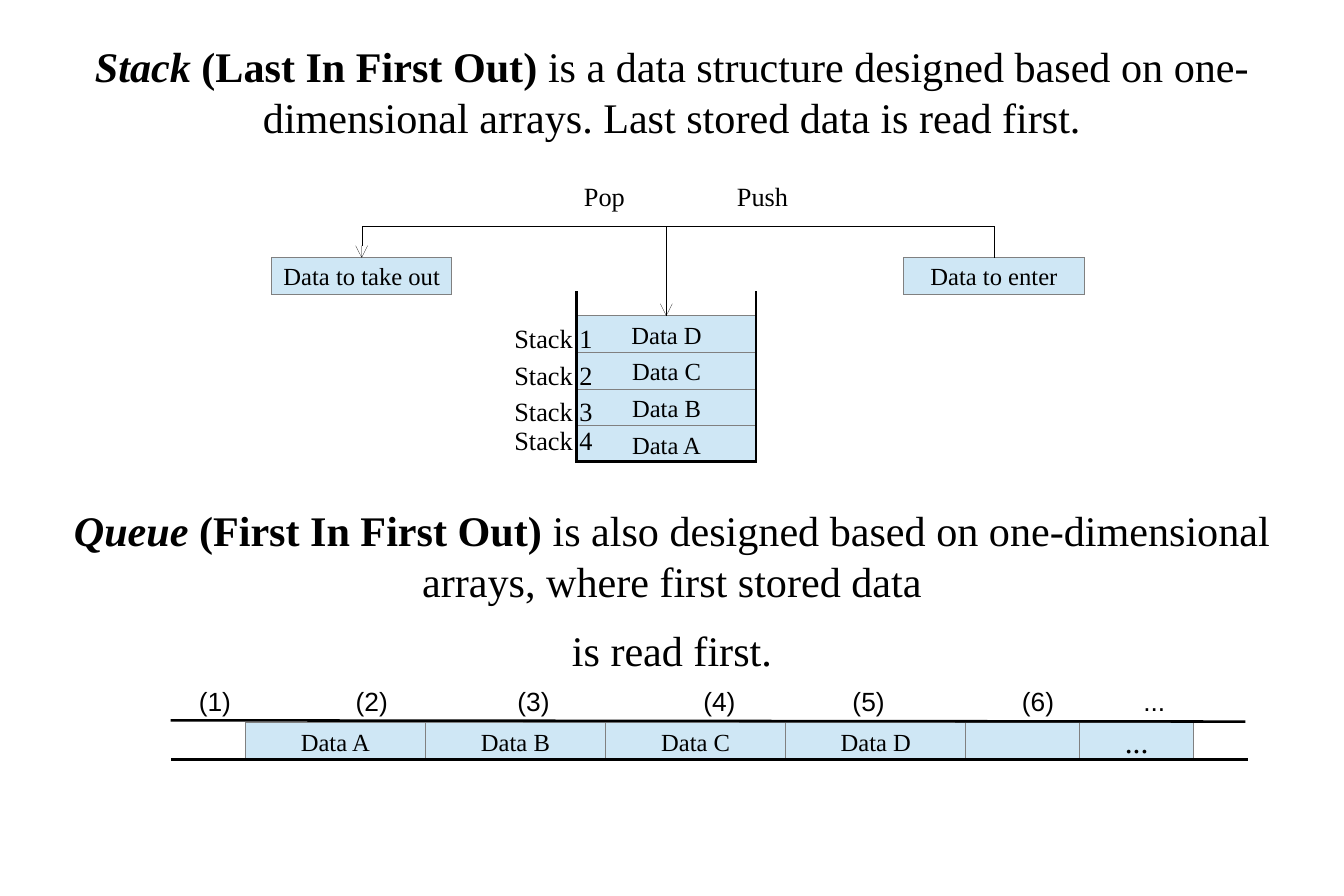
"""Build a slide that explains the stack and queue data structures."""
import pptx
import pptx.dml.color
import pptx.enum.shapes
import pptx.enum.text
import pptx.oxml
import pptx.oxml.ns
import pptx.util
from pptx.util import Inches, Pt

SERIF, SANS = "Times New Roman", "Arial"
BLACK, GREY, BLUE = "000000", "808080", "CFE7F5"
BOX_W, BOX_H = 1.425, 0.29
ALIGN = pptx.enum.text.PP_ALIGN
ANCHOR = pptx.enum.text.MSO_ANCHOR
CONNECTOR = pptx.enum.shapes.MSO_CONNECTOR


def color(value):
    """Return the colour for a hex string."""
    return pptx.dml.color.RGBColor.from_string(value)


def child(parent, tag, **attributes):
    """Append a DrawingML element to a parent."""
    element = pptx.oxml.parse_xml(f"<a:{tag} {pptx.oxml.ns.nsdecls('a')}/>")
    for name, value in attributes.items():
        element.set(name, value)
    parent.append(element)


def style_line(sp, value, width=0):
    """Set the line colour and width, where zero is a hairline."""
    sp.line.color.rgb = color(value)
    sp.line._get_or_add_ln().set("w", str(int(Pt(width))))


def write(p, text, size=14, font=SERIF, bold=False, italic=False):
    """Add a formatted run to a paragraph."""
    r = p.add_run()
    r.text = text
    r.font.size, r.font.name = Pt(size), font
    r.font.bold, r.font.italic = bold, italic
    r.font.color.rgb = color(BLACK)


def add_label(s, text, x, y, w, h=0.35, align=ALIGN.LEFT, **fmt):
    """Add a one-line label."""
    tf = s.shapes.add_textbox(Inches(x), Inches(y), Inches(w), Inches(h)).text_frame
    tf.word_wrap = True
    tf.paragraphs[0].alignment = align
    write(tf.paragraphs[0], text, size=15, **fmt)


def add_definition(s, y, h, term, meaning, *paragraphs):
    """Add a centred definition that opens with a bold term."""
    tf = s.shapes.add_textbox(Inches(0.53), Inches(y), Inches(9.57), Inches(h)).text_frame
    tf.word_wrap = True
    tf.margin_left = tf.margin_right = tf.margin_top = tf.margin_bottom = 0
    for i, text in enumerate(paragraphs):
        p = tf.add_paragraph() if i else tf.paragraphs[0]
        p.alignment = ALIGN.CENTER
        p.line_spacing, p.space_after = Pt(29), Pt(10.4)
        if i == 0:
            write(p, term, size=24, bold=True, italic=True)
            write(p, f" {meaning} ", size=24, bold=True)
        write(p, text, size=24)


def add_box(s, text, x, y, w=BOX_W, size=14):
    """Add a blue data box."""
    sp = s.shapes.add_shape(pptx.enum.shapes.MSO_SHAPE.RECTANGLE,
                            Inches(x), Inches(y), Inches(w), Inches(BOX_H))
    sp.fill.solid()
    sp.fill.fore_color.rgb = color(BLUE)
    style_line(sp, GREY)
    sp.shadow.inherit = False
    if text:
        tf = sp.text_frame
        tf.word_wrap = False
        tf.vertical_anchor = ANCHOR.MIDDLE
        tf.paragraphs[0].alignment = ALIGN.CENTER
        write(tf.paragraphs[0], text, size=size)


def add_line(s, x1, y1, x2, y2, width=1.45, kind=CONNECTOR.STRAIGHT):
    """Add a black connector."""
    line = s.shapes.add_connector(kind, Inches(x1), Inches(y1), Inches(x2), Inches(y2))
    style_line(line, BLACK, width)
    child(line._element.spPr, "effectLst")
    return line


def add_elbow_arrow(s, x1, y1, x2, y2, bend_y):
    """Add an arrow going leftward that runs level at bend_y."""
    w, h = abs(y2 - y1), x1 - x2
    left, top = (x1 + x2 - w) / 2, (y1 + y2 - h) / 2
    down = y2 > y1
    start, end = (top, top + h) if down else (top + h, top)
    line = add_line(s, left, start, left + w, end, 0, CONNECTOR.ELBOW)
    spPr = line._element.spPr
    spPr.find(pptx.oxml.ns.qn("a:xfrm")).set("rot", str((90 if down else 270) * 60000))
    bend = round((bend_y - y1) / (y2 - y1) * 100000)
    guides = spPr.find(pptx.oxml.ns.qn("a:prstGeom")).get_or_add_avLst()
    child(guides, "gd", name="adj1", fmla=f"val {bend}")
    child(line.line._get_or_add_ln(), "tailEnd", type="arrow")


def add_stack(s):
    """Draw the stack with its pop and push arrows."""
    left, right, top = 4.56, 5.98, 2.5
    middle = (left + right) / 2
    for i, name in enumerate("DCBA"):
        add_box(s, f"Data {name}", left, top + i * BOX_H)
    for x in (left, right):
        add_line(s, x, 3.66, x, 2.3)
    add_line(s, left, 3.65, right, 3.65)
    add_box(s, "Data to enter", 7.15, 2.04)
    add_box(s, "Data to take out", 2.15, 2.04)
    add_elbow_arrow(s, middle, top, 2.86, 2.04, 1.79)
    add_elbow_arrow(s, 7.86, 2.04, middle, top, 1.79)
    add_label(s, "Pop", 4.52, 1.38, 0.7)
    add_label(s, "Push", 5.73, 1.38, 0.8)
    for i, y in enumerate((2.5, 2.79, 3.08, 3.31), 1):
        add_label(s, f"Stack {i}", 3.97, y, 1)


def add_queue(s):
    """Draw the queue with its numbered places."""
    left, top = 1.94, 5.72
    for i, name in enumerate("ABCD"):
        add_box(s, f"Data {name}", left + i * BOX_W, top)
    for i, text in enumerate(("", "...")):
        add_box(s, text, 7.64 + i * 0.9, top, 0.9, size=18)
    add_line(s, 9.87, 6.01, 1.35, 6.01)
    add_line(s, 9.85, 5.71, 1.35, 5.7)
    centers = (1.7, 2.94, 4.22, 5.69, 6.87, 8.21, 9.13)
    places = [f"({n})" for n in range(1, 7)] + ["..."]
    for center, place in zip(centers, places):
        add_label(s, place, center - 0.35, 5.37, 0.7, align=ALIGN.CENTER, font=SANS)


def main():
    """Build and save the slide."""
    prs = pptx.Presentation()
    prs.slide_width, prs.slide_height = Inches(10.63), Inches(7.09)
    s = prs.slides.add_slide(prs.slide_layouts[6])
    add_definition(s, 0.32, 0.85, "Stack", "(Last In First Out)",
                   "is a data structure designed based on one-dimensional arrays. "
                   "Last stored data is read first.")
    add_definition(s, 3.99, 1.4, "Queue", "(First In First Out)",
                   "is also designed based on one-dimensional arrays, "
                   "where first stored data", "is read first.")
    add_stack(s)
    add_queue(s)
    prs.save("out.pptx")


if __name__ == "__main__":
    main()
